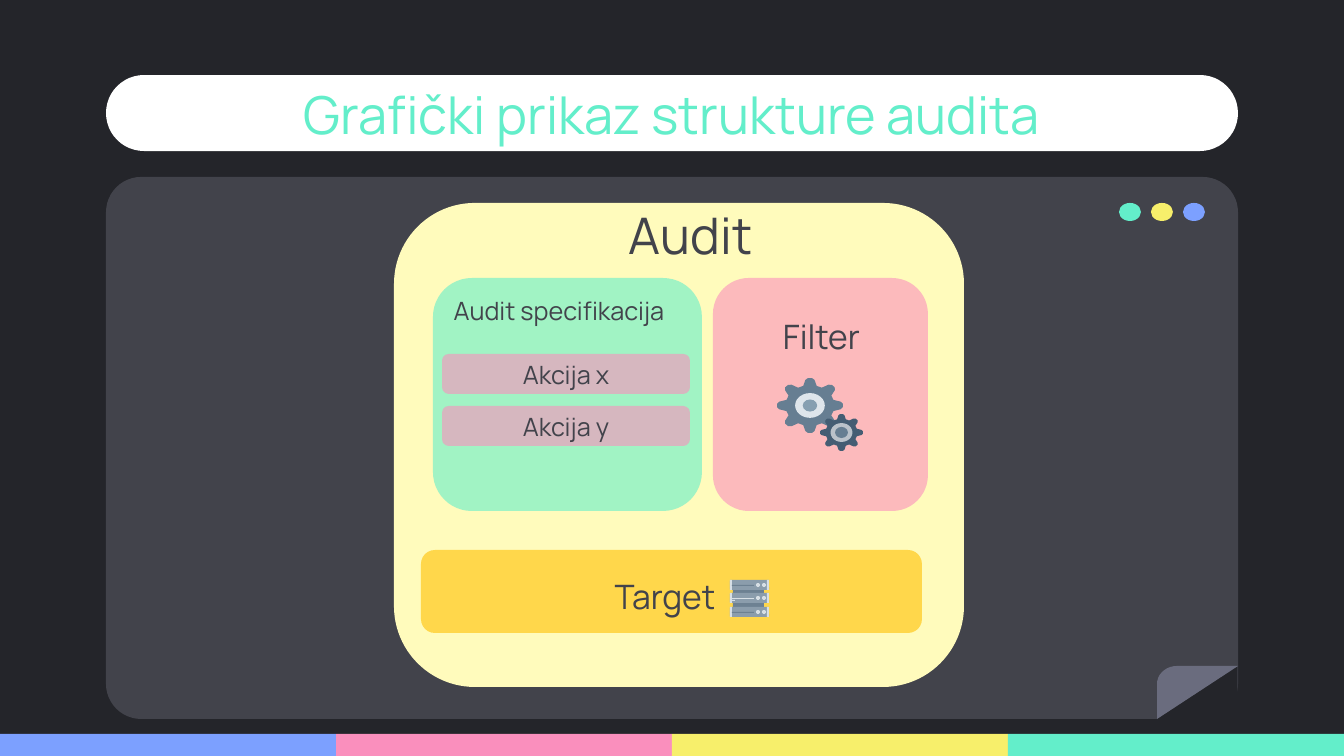
from math import cos, radians, sin

from lxml import etree
from pptx import Presentation
from pptx import util as u
from pptx.dml.color import RGBColor
from pptx.enum import shapes, text
from pptx.oxml.ns import qn

PX = 914400 / 100.8
DARK, PANEL, WHITE = "24252A", "42434B", "FFFFFF"
MINT, YELLOW, BLUE, PINK = "63EECA", "F7EF6B", "7CA0FF", "FA8FBD"
SLATE, STEEL, PALE = "6D8192", "8B9DAC", "D7DFE5"
KIND = shapes.MSO_SHAPE


def px(value):
    return u.Emu(round(value * PX))


def color(hex_string):
    return RGBColor.from_string(hex_string)


class Board:
    """Holds the slide and the shared style."""

    font = "Manrope"
    ink = PANEL

    def __init__(self, slide):
        self.slide = slide
        slide.background.fill.solid()
        slide.background.fill.fore_color.rgb = color(DARK)

    def paint(self, shape, fill, alpha=100):
        shape.shadow.inherit = False
        shape.line.fill.background()
        shape.fill.solid()
        shape.fill.fore_color.rgb = color(fill)
        if alpha < 100:
            tint = shape._element.spPr.find(qn("a:solidFill"))[0]
            etree.SubElement(tint, qn("a:alpha")).set("val", str(alpha * 1000))
        return shape

    def shape(self, kind, x, y, w, h, fill, alpha=100):
        shape = self.slide.shapes.add_shape(kind, px(x), px(y), px(w), px(h))
        return self.paint(shape, fill, alpha)

    def rect(self, *box_and_fill):
        return self.shape(KIND.RECTANGLE, *box_and_fill)

    def oval(self, *box_and_fill):
        return self.shape(KIND.OVAL, *box_and_fill)

    def card(self, x, y, w, h, fill, alpha=100, corner=0.167):
        card = self.shape(KIND.ROUNDED_RECTANGLE, x, y, w, h, fill, alpha)
        card.adjustments[0] = corner
        return card

    def outline(self, points, fill):
        start, *rest = [(px(x), px(y)) for x, y in points]
        builder = self.slide.shapes.build_freeform(*start)
        builder.add_line_segments(rest)
        return self.paint(builder.convert_to_shape(), fill)

    def caption(self, shape, words, size, ink=None, middle=True):
        frame = shape.text_frame
        frame.word_wrap = True
        if middle:
            frame.vertical_anchor = text.MSO_ANCHOR.MIDDLE
            frame.margin_left = frame.margin_right = px(13)
            frame.margin_top = frame.margin_bottom = px(13)
        paragraph = frame.paragraphs[0]
        paragraph.text = words
        paragraph.alignment = text.PP_ALIGN.CENTER
        paragraph.font.name = self.font
        paragraph.font.size = u.Pt(size)
        paragraph.font.color.rgb = color(ink or self.ink)

    def label(self, x, y, w, h, words, size, **style):
        box = self.slide.shapes.add_textbox(px(x), px(y), px(w), px(h))
        self.caption(box, words, size, **style)

    def gear(self, x, y, w, h, fill, rings):
        """Eight-toothed wheel; rings are (share of the width, fill)."""
        cx, cy = x + w / 2, y + h / 2
        tooth = [(-16, .74), (-8.5, .94), (-3.5, 1),
                 (3.5, 1), (8.5, .94), (16, .74)]
        rim = [(radians(45 * i + turn), reach)
               for i in range(8) for turn, reach in tooth]
        self.outline([(cx + w / 2 * reach * sin(angle),
                       cy - h / 2 * reach * cos(angle))
                      for angle, reach in rim], fill)
        for share, ring_fill in rings:
            rw, rh = w * share, h * share
            self.oval(cx - rw / 2, cy - rh / 2, rw, rh, ring_fill)

    def server(self, x, y):
        self.rect(x + 3, y + 9, 31, 20, SLATE)
        for i, groove in enumerate([SLATE, PALE, SLATE]):
            top = y + 27 * i // 2
            self.card(x, top, 39, 10, STEEL, corner=0.06)
            for edge in (0, 37):
                self.rect(x + edge, top, 2, 10, PALE)
            for lamp in (26, 32):
                self.oval(x + lamp, top + 3, 4, 4, PALE)
            self.rect(x + 2, top + 5, 22, 1, groove)
        self.rect(x + 2, y + 20, 3, 1, PALE)


def main():
    deck = Presentation()
    deck.slide_width, deck.slide_height = px(1344), px(756)
    board = Board(deck.slides.add_slide(deck.slide_layouts[6]))

    # Colour strip along the bottom
    for i, fill in enumerate([BLUE, PINK, YELLOW, MINT]):
        board.rect(336 * i, 734, 336, 22, fill)

    # Title pill and window panel
    board.card(106, 75, 1132, 76, WHITE, corner=0.5)
    board.card(106, 177, 1132, 542, PANEL, corner=0.065)
    for i, fill in enumerate([MINT, YELLOW, BLUE]):
        board.oval(1119 + 32 * i, 203, 22, 18, fill)

    # Folded corner
    cut = board.shape(KIND.RIGHT_TRIANGLE, 1158, 667, 79, 52, DARK)
    cut._element.spPr.xfrm.set("flipH", "1")
    cut.line.color.rgb = color(DARK)
    cut.line.width = u.Pt(0.75)
    bend = [(1177 - 20 * cos(radians(a)), 684 - 18 * sin(radians(a)))
            for a in range(0, 91, 10)]
    board.outline([(1157, 719), *bend, (1238, 666)], "6A6C7E")
    board.label(106, 80, 1132, 67, "Grafički prikaz strukture audita", 37.3,
                ink=MINT)

    # Audit
    board.card(394, 203, 570, 484, "FFFBBC")
    board.label(598, 208, 185, 53, "Audit", 36)

    # Audit specification with its actions
    board.card(433, 278, 269, 233, MINT, 60)
    board.label(419, 290, 280, 40, "Audit specifikacija", 18, middle=False)
    for i, name in enumerate(["Akcija x", "Akcija y"]):
        action = board.card(442, 354 + 52 * i, 248, 40, PINK, 60)
        board.caption(action, name, 18)

    # Target
    board.card(421, 550, 501, 83, "FFC000", 60)
    board.label(525, 571, 280, 50, "Target", 24, middle=False)
    board.server(730, 580)

    # Filter
    board.card(713, 278, 215, 233, PINK, 60)
    board.label(754, 311, 135, 50, "Filter", 24, middle=False)
    board.gear(777, 378, 66, 55, "667E92",
               [(.45, "DEE5EB"), (.22, "869FB1")])
    board.gear(820, 414, 43, 37, "445D73",
               [(.51, "BAC2CA"), (.3, "667E92")])

    deck.save("out.pptx")


if __name__ == "__main__":
    main()
